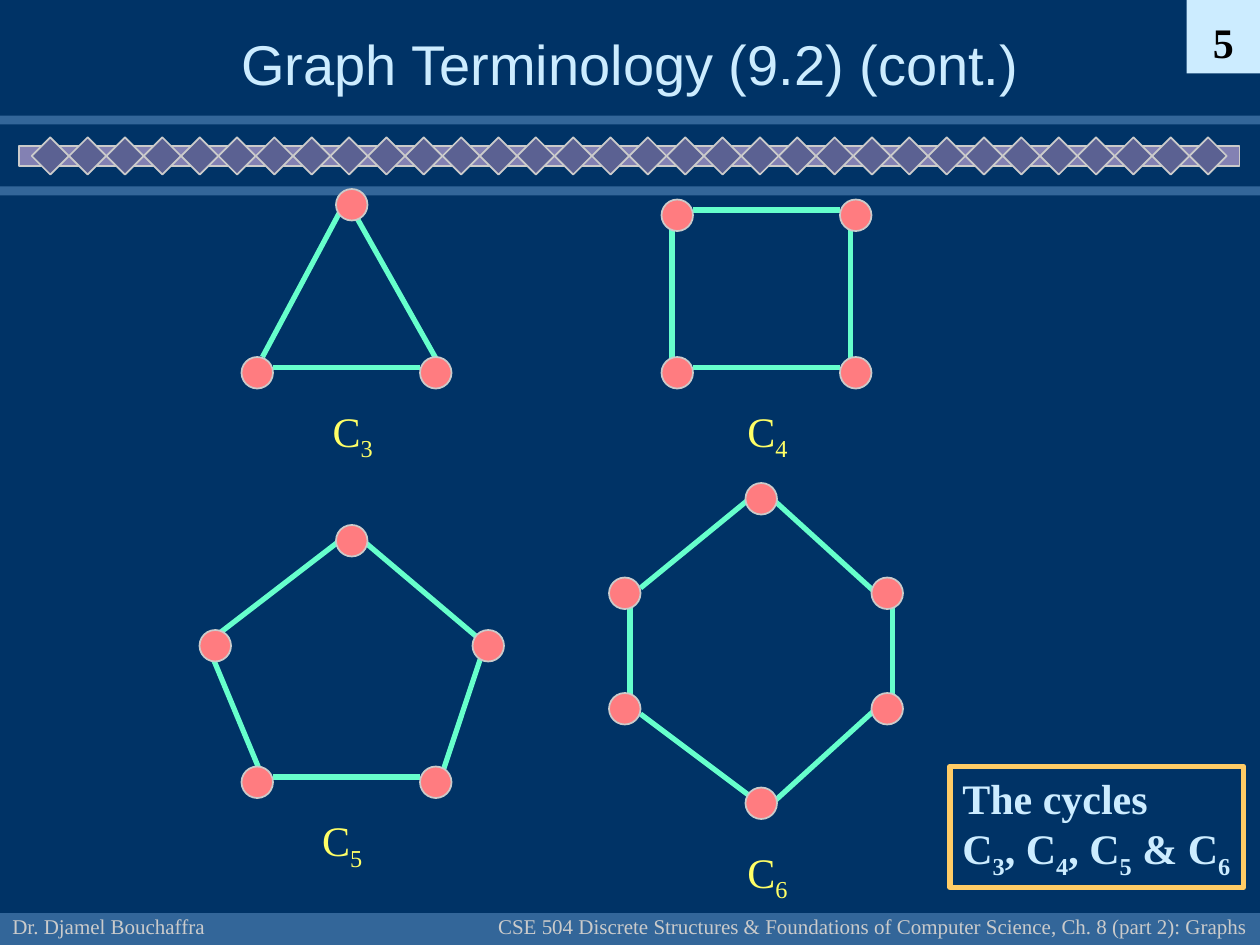
from lxml import etree
from pptx import Presentation
from pptx.dml.color import RGBColor
from pptx.enum import shapes as kinds, text as txt
from pptx.oxml.ns import qn
from pptx.util import Cm, Pt

HUES = {
    "back": "003366", "band": "336699", "rail": "8381B3", "gem": "5B6192",
    "grey": "CBCBCB", "ice": "CCECFF", "black": "000000", "edge": "66FFCC",
    "node": "FF7C80", "label": "FFFF66", "frame": "FFCC66",
}
RECT = kinds.MSO_SHAPE.RECTANGLE
GEM = kinds.MSO_SHAPE.DIAMOND
OVAL = kinds.MSO_SHAPE.OVAL
LEFT, MID, RIGHT = txt.PP_ALIGN.LEFT, txt.PP_ALIGN.CENTER, txt.PP_ALIGN.RIGHT
TOP, CORE, BASE = txt.MSO_ANCHOR.TOP, txt.MSO_ANCHOR.MIDDLE, txt.MSO_ANCHOR.BOTTOM
SERIF = {"name": "Times New Roman", "size": Pt(24), "bold": False}
CELL = 2.54 / 12  # the graphs sit on a grid of twelfths of an inch


def hue(name):
    return RGBColor.from_string(HUES[name])


def grid(*cells):
    return [n * CELL for n in cells]


class Board:
    """Holds the current slide and the shape tree being drawn into."""

    def __init__(self, slide):
        self.slide = slide
        self.tree = slide.shapes
        slide.background.fill.solid()
        slide.background.fill.fore_color.rgb = hue("back")

    def group(self):
        self.tree = self.slide.shapes.add_group_shape().shapes

    def ungroup(self):
        self.tree = self.slide.shapes

    def shape(self, kind, at, fill=None, line=None, width=1):
        item = self.tree.add_shape(kind, *map(Cm, at))
        item.shadow.inherit = False
        for part, name in ((item.fill, fill), (item.line.fill, line)):
            if name:
                part.solid()
                part.fore_color.rgb = hue(name)
            else:
                part.background()
        if line:
            item.line.width = Pt(width)
        return item

    def edge(self, start, end):
        item = self.tree.add_connector(
            kinds.MSO_CONNECTOR.STRAIGHT, *map(Cm, grid(*start, *end)))
        item.line.color.rgb = hue("edge")
        item.line.width = Pt(3)
        etree.SubElement(item._element.spPr, qn("a:effectLst"))

    def label(self, item, lines, color, align=LEFT, anchor=TOP, wrap=False, **font):
        """Fill item with text; in each line, "_" lowers the next character."""
        frame = item.text_frame
        frame.word_wrap = wrap
        frame.vertical_anchor = anchor
        for i, line in enumerate(lines):
            para = frame.paragraphs[0] if i == 0 else frame.add_paragraph()
            para.alignment = align
            first, *rest = line.split("_")
            parts = [(first, False)]
            for piece in rest:
                parts += [(piece[0], True), (piece[1:], False)]
            for words, low in parts:
                if words:
                    self.run(para, words, low, color, {**SERIF, **font})

    def run(self, para, words, low, color, font):
        run = para.add_run()
        run.text = words
        for key, value in font.items():
            setattr(run.font, key, value)
        run.font.color.rgb = hue(color)
        if low:
            run._r.get_or_add_rPr().set("baseline", "-25000")

    def text(self, at, words, color, **style):
        self.label(self.tree.add_textbox(*map(Cm, at)), [words], color, **style)

    def title(self, at, words):
        item = self.slide.shapes.title
        item.left, item.top, item.width, item.height = map(Cm, at)
        self.label(item, [words], "ice", MID, CORE, True, name="Arial", size=Pt(32))

    def graph(self, name, spot, edges, nodes):
        self.group()
        for start, end in edges:
            self.edge(start, end)
        for node in nodes:
            self.shape(OVAL, grid(*node, 3, 3), "node", "grey")
        self.text([*grid(*spot), 1.32, 1.42], name, "label")
        self.ungroup()


GRAPHS = [
    ("C_3", (30.5, 38),
     [((33, 19), (25, 34)), ((33, 19), (42, 35)), ((26, 35), (40, 35))],
     [(23, 34), (40, 34), (32, 18)]),
    ("C_4", (70, 38),
     [((64, 35), (64, 20)), ((81, 35), (81, 20)),
      ((66, 35), (80, 35)), ((66, 20), (80, 20))],
     [(63, 34), (80, 34), (63, 19), (80, 19)]),
    ("C_6", (70, 80),
     [((73, 77), (84, 67)), ((85, 67), (85, 56)), ((72, 47), (61, 56)),
      ((60, 57), (60, 67)), ((61, 68), (73, 77)), ((84, 57), (73, 47))],
     [(58, 55), (83, 55), (58, 66), (83, 66), (71, 75), (71, 46)]),
    ("C_5", (29.5, 77),
     [((33, 51), (20, 61)), ((20, 62), (25, 74)), ((42, 74), (46, 62)),
      ((34, 51), (47, 62)), ((26, 74), (40, 74))],
     [(23, 73), (40, 73), (32, 50), (19, 60), (45, 60)]),
]


def main():
    deck = Presentation()
    deck.slide_width, deck.slide_height = Cm(25.4), Cm(19.05)
    board = Board(deck.slides.add_slide(deck.slide_layouts[5]))

    for top, high in ((18.41, 0.64), (2.33, 0.18), (3.76, 0.18)):
        board.shape(RECT, (0, top, 25.4, high), "band")

    board.group()
    board.shape(RECT, (0.38, 2.95, 24.61, 0.4), "rail", "grey")
    count, first, last = 32, 0.64, 23.98
    step = (last - first) / (count - 1)
    for i in range(count):
        board.shape(GEM, (first + i * step, 2.77, 0.75, 0.75), "gem", "grey")
    board.ungroup()

    small = {"anchor": BASE, "size": Pt(12)}
    board.text((0, 17.78, 5.28, 1.27), "Dr. Djamel Bouchaffra", "grey", **small)
    board.text((9.73, 17.78, 15.67, 1.27),
               "CSE 504 Discrete Structures & Foundations of Computer Science, "
               "Ch. 8 (part 2): Graphs", "grey", align=RIGHT, **small)
    page = board.shape(RECT, (23.92, 0, 1.48, 1.48), "ice")
    board.label(page, ["5"], "black", MID, BASE, bold=True)
    board.title((1.91, 0.42, 21.59, 1.69), "Graph Terminology (9.2) (cont.)")

    for graph in GRAPHS:
        board.graph(*graph)

    note = board.shape(RECT, (19.15, 15.45, 5.92, 2.44), line="frame", width=3)
    board.label(note, ["The cycles", "C_3, C_4, C_5 & C_6"], "ice", bold=True)
    deck.save("out.pptx")


if __name__ == "__main__":
    main()
